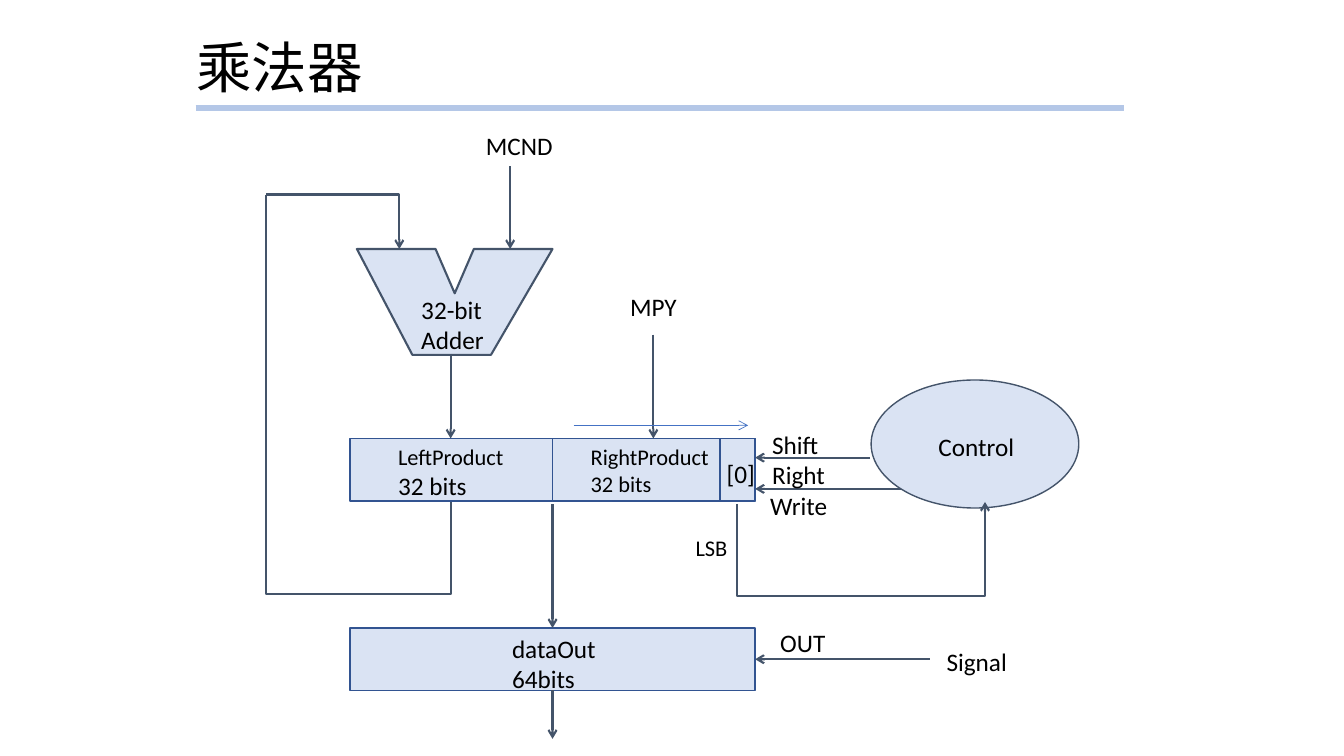
from pptx import Presentation
from pptx.dml.color import RGBColor as Rgb
from pptx.enum.shapes import MSO_CONNECTOR as Link, MSO_SHAPE as Form
from pptx.enum.text import MSO_ANCHOR as Anchor
from pptx.oxml.ns import qn
from pptx.util import Inches, Pt
from lxml.etree import SubElement as Sub

HUES = {"ink": "000000", "pale": "DAE3F3", "slate": "44546A",
        "edge": "325491", "rule": "B4C7E7", "blue": "4472C4"}


def put(obj, vals):
    for key, val in vals.items():
        setattr(obj, key, val)


class Draw:
    font = "Calibri"

    def __init__(self, slide):
        self.shapes = slide.shapes

    def hue(self, name):
        return Rgb.from_string(HUES[name])

    def skin(self, shape, edge, wide):
        shape.shadow.inherit = False
        shape.fill.solid()
        shape.fill.fore_color.rgb = self.hue("pale")
        shape.line.color.rgb = self.hue(edge)
        shape.line.width = Pt(wide)

    def shape(self, form, x, y, w, h, edge="edge"):
        box = self.shapes.add_shape(form, *map(Inches, (x, y, w, h)))
        self.skin(box, edge, 1)

    def free(self, spots, edge, wide):
        pen = self.shapes.build_freeform(*map(Inches, spots[0]), scale=1.0)
        pen.add_line_segments([tuple(map(Inches, s)) for s in spots[1:]], close=True)
        self.skin(pen.convert_to_shape(), edge, wide)

    def line(self, x, y, to_x, to_y, hue="slate", wide=1.5, head=True,
             kind=Link.STRAIGHT, bends=(), turn=0):
        line = self.shapes.add_connector(kind, *map(Inches, (x, y, to_x, to_y)))
        line.line.color.rgb = self.hue(hue)
        line.line.width = Pt(wide)
        props = line._element.spPr
        if head:
            Sub(props.find(qn("a:ln")), qn("a:tailEnd"), type="arrow")
        Sub(props, qn("a:effectLst"))
        if bends:
            geom = props.find(qn("a:prstGeom"))
            geom.set("prst", f"bentConnector{len(bends) + 2}")
            marks = geom.find(qn("a:avLst"))
            for num, bend in enumerate(bends, 1):
                Sub(marks, qn("a:gd"), name=f"adj{num}", fmla=f"val {round(bend * 100000)}")
        if turn:
            props.find(qn("a:xfrm")).set("rot", str(turn * 60000))

    def elbow(self, *ends, **more):
        self.line(*ends, kind=Link.ELBOW, **more)

    def text(self, x, y, w, h, *rows, size=18, font=None, anchor=Anchor.TOP, space=None):
        frame = self.shapes.add_textbox(*map(Inches, (x, y, w, h))).text_frame
        put(frame, {"word_wrap": True, "vertical_anchor": anchor})
        for num, row in enumerate(rows):
            words, pts = row if isinstance(row, tuple) else (row, size)
            para = frame.add_paragraph() if num else frame.paragraphs[0]
            para.line_spacing = space
            run = para.add_run()
            run.text = words
            put(run.font, {"name": font or self.font, "size": Pt(pts)})
            run.font.color.rgb = self.hue("ink")
            if font:
                Sub(run._r.get_or_add_rPr(), qn("a:ea"), typeface=font)


def main():
    deck = Presentation()
    put(deck, {"slide_width": Inches(13.33), "slide_height": Inches(7.5)})
    draw = Draw(deck.slides.add_slide(deck.slide_layouts[6]))

    draw.text(1.85, 0.5, 2.25, 0.4, "乘法器", size=39.6,
              font="Noto Sans CJK SC", anchor=Anchor.MIDDLE, space=0.9)
    draw.line(1.94, 1.07, 11.15, 1.07, "rule", 4.5, head=False)

    left, half, tall, top, base = 3.47, 2.01, 0.62, 4.35, 6.23
    mid, right = left + half, left + 2 * half
    draw.shape(Form.RECTANGLE, left, base, 2 * half, tall)
    draw.shape(Form.OVAL, 8.64, 3.77, 2.06, 1.27, "slate")
    for x in (left, mid):
        draw.shape(Form.RECTANGLE, x, top, half, tall)
    draw.shape(Form.RECTANGLE, right - 0.35, top, 0.35, tall)
    draw.free([(3.54, 2.47), (4.32, 2.47), (4.51, 2.91), (4.7, 2.47),
               (5.48, 2.47), (4.87, 3.52), (4.09, 3.52)], "slate", 1.5)

    for x, y, end in ((4.47, 3.51, top), (5.06, 1.65, 2.47), (6.48, 3.32, top),
                      (mid, 5, base), (mid, base + tall, 7.33)):
        draw.line(x, y, x, end)
    for x, y in ((8.94, 4.85), (8.63, 4.54), (9.22, 6.54)):
        draw.line(x, y, right, y)
    draw.line(5.69, 4.22, 7.42, 4.22, "blue", 0.5)

    draw.elbow(5.08, 2.54, 2.03, 4.37, bends=[-0.3], turn=90, head=False)
    draw.elbow(2.64, 1.93, 3.96, 2.47, bends=[1])
    draw.elbow(7.31, 5, 9.77, 4.98, bends=[0, -45.5])

    for x, y, w, h, words in (
            (4.08, 2.87, 0.9, 0.71, "32-bit Adder"),
            (4.72, 1.24, 0.9, 0.4, "MCND"),
            (6.15, 2.84, 0.78, 0.4, "MPY"),
            (7.11, 4.5, 0.56, 0.4, "[0]"),
            (9.21, 4.23, 0.97, 0.4, "Control"),
            (7.56, 4.21, 1.13, 0.71, "Shift Right"),
            (7.54, 4.82, 0.83, 0.4, "Write"),
            (4.98, 6.23, 1.12, 0.71, "dataOut 64bits"),
            (9.29, 6.36, 1.04, 0.4, "Signal"),
            (7.64, 6.17, 0.99, 0.4, "OUT")):
        draw.text(x, y, w, h, words)
    draw.text(3.85, top, 1.32, 0.67, ("LeftProduct", 16), "32 bits")
    draw.text(5.76, top, 1.45, 0.64, "RightProduct", "32 bits", size=16)
    draw.text(6.8, 5.25, 0.55, 0.37, "LSB", size=16)

    deck.save("out.pptx")


if __name__ == "__main__":
    main()
